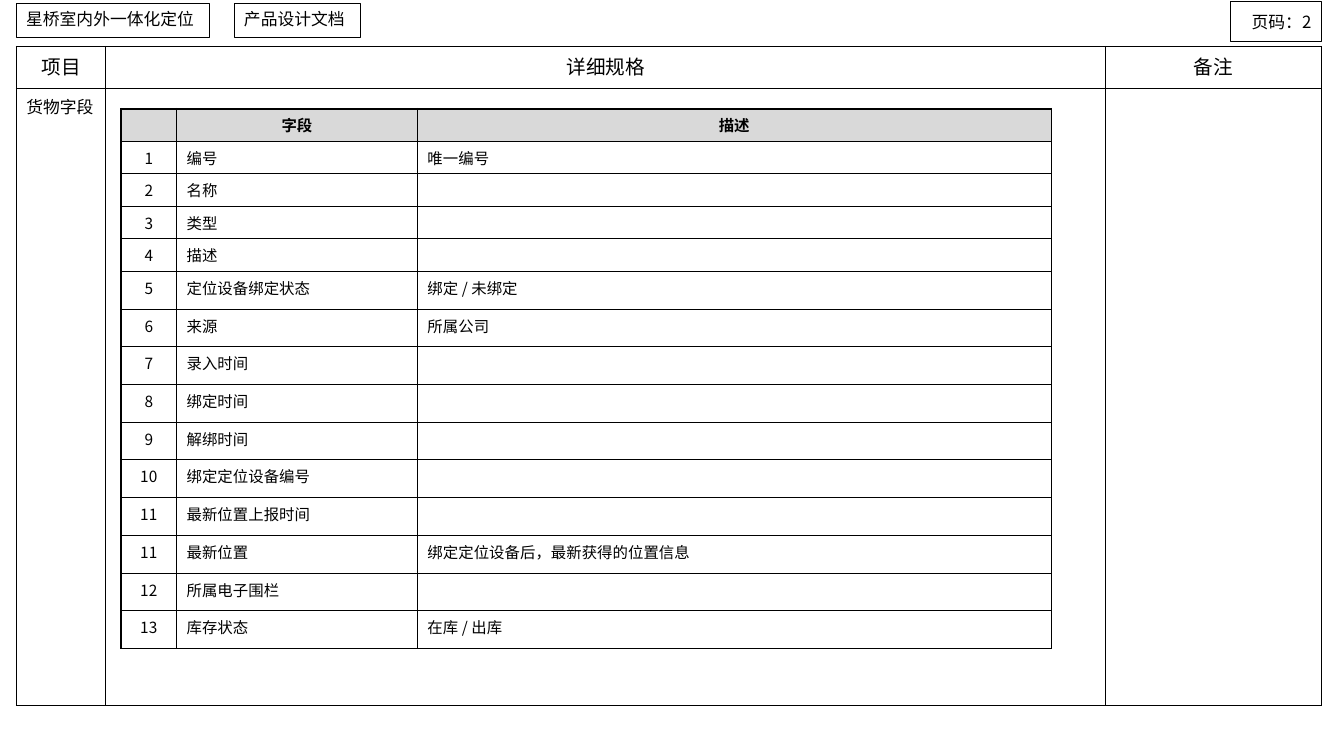
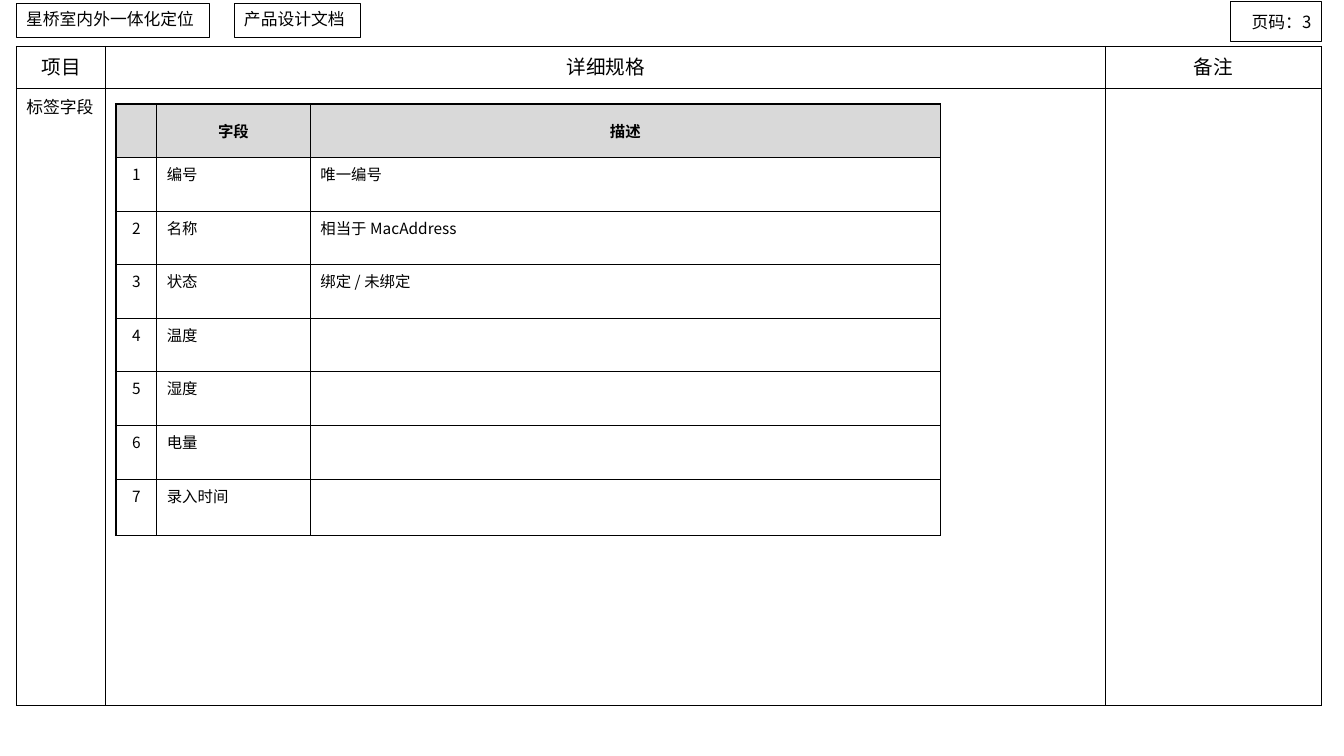
from lxml.etree import SubElement
from pptx import Presentation
from pptx.dml.color import RGBColor
from pptx.enum.shapes import MSO_SHAPE
from pptx.enum.text import MSO_ANCHOR, PP_ALIGN
from pptx.oxml.ns import qn
from pptx.util import Cm, Pt

BLACK = RGBColor(0x00, 0x00, 0x00)
WHITE = RGBColor(0xFF, 0xFF, 0xFF)
HEADER_GREY = RGBColor(0xD9, 0xD9, 0xD9)
FONT = "Noto Sans CJK SC"
THIN, THICK = Pt(0.75), Pt(1.5)

FRAME_LEFT, FRAME_TOP = 0.41, 1.17
FRAME_COLUMNS = [2.26, 25.2, 5.43]
FRAME_ROWS = [1.07, 15.54]
FRAME_HEADINGS = ["项目", "详细规格", "备注"]
FIELD_HEADINGS = ["", "字段", "描述"]

CARGO_FIELDS = [
    FIELD_HEADINGS,
    ["1", "编号", "唯一编号"],
    ["2", "名称", ""],
    ["3", "类型", ""],
    ["4", "描述", ""],
    ["5", "定位设备绑定状态", "绑定 / 未绑定"],
    ["6", "来源", "所属公司"],
    ["7", "录入时间", ""],
    ["8", "绑定时间", ""],
    ["9", "解绑时间", ""],
    ["10", "绑定定位设备编号", ""],
    ["11", "最新位置上报时间", ""],
    ["11", "最新位置", "绑定定位设备后，最新获得的位置信息"],
    ["12", "所属电子围栏", ""],
    ["13", "库存状态", "在库 / 出库"],
]
TAG_FIELDS = [
    FIELD_HEADINGS,
    ["1", "编号", "唯一编号"],
    ["2", "名称", "相当于 MacAddress"],
    ["3", "状态", "绑定 / 未绑定"],
    ["4", "温度", ""],
    ["5", "湿度", ""],
    ["6", "电量", ""],
    ["7", "录入时间", ""],
]


def write_text(frame, text, size=12, bold=False, align=PP_ALIGN.LEFT, anchor=MSO_ANCHOR.TOP):
    """Fill a text frame; an empty text still gets its size, so table rows stay low."""
    frame.word_wrap = True
    frame.vertical_anchor = anchor
    paragraph = frame.paragraphs[0]
    paragraph.alignment = align
    if not text:
        SubElement(paragraph._p, qn("a:endParaRPr"), sz=str(size * 100))
        return
    run = paragraph.add_run()
    run.text = text
    run.font.size = Pt(size)
    run.font.bold = bold
    run.font.name = FONT
    run.font.color.rgb = BLACK
    SubElement(run._r.get_or_add_rPr(), qn("a:ea"), typeface=FONT)


def style_cell(cell, fill, left=THIN, top=THIN):
    properties = cell._tc.get_or_add_tcPr()
    for side, width in (("L", left), ("R", THIN), ("T", top), ("B", THIN)):
        border = SubElement(properties, qn(f"a:ln{side}"), w=str(width))
        solid = SubElement(border, qn("a:solidFill"))
        SubElement(solid, qn("a:srgbClr"), val=str(BLACK))
    cell.fill.solid()
    cell.fill.fore_color.rgb = fill


def add_grid(slide, left, top, columns, rows):
    """Add a plain table with the given column widths and row heights in cm."""
    grid = slide.shapes.add_table(len(rows), len(columns), Cm(left), Cm(top),
                                  Cm(sum(columns)), Cm(sum(rows))).table
    grid.first_row = grid.horz_banding = False
    for column, width in zip(grid.columns, columns):
        column.width = Cm(width)
    for row, height in zip(grid.rows, rows):
        row.height = Cm(height)
    return grid


def add_label(slide, text, left, top, width, height, **text_format):
    label = slide.shapes.add_shape(MSO_SHAPE.RECTANGLE, Cm(left), Cm(top), Cm(width), Cm(height))
    label.shadow.inherit = False
    label.fill.background()
    label.line.color.rgb = BLACK
    label.line.width = THIN
    write_text(label.text_frame, text, **text_format)


def add_page_frame(slide, item):
    grid = add_grid(slide, FRAME_LEFT, FRAME_TOP, FRAME_COLUMNS, FRAME_ROWS)
    for column, heading in enumerate(FRAME_HEADINGS):
        write_text(grid.cell(0, column).text_frame, heading, size=14, align=PP_ALIGN.CENTER)
        write_text(grid.cell(1, column).text_frame, item if column == 0 else "")
    for cell in grid.iter_cells():
        style_cell(cell, WHITE)


def add_page_header(slide, page_number):
    add_label(slide, "星桥室内外一体化定位", FRAME_LEFT, 0.1, 4.88, 0.84)
    add_label(slide, "产品设计文档", 5.9, 0.1, 3.18, 0.84)
    page_width = 2.29
    page_left = FRAME_LEFT + sum(FRAME_COLUMNS) - page_width
    add_label(slide, f"页码：{page_number}", page_left, 0.03, page_width, 1.02,
              align=PP_ALIGN.RIGHT, anchor=MSO_ANCHOR.MIDDLE)


def add_field_table(slide, fields, inset_left, inset_top, columns, rows):
    """Place the field list, measured from the top left of the frame's detail cell."""
    grid = add_grid(slide, FRAME_LEFT + FRAME_COLUMNS[0] + inset_left,
                    FRAME_TOP + FRAME_ROWS[0] + inset_top, columns, rows)
    for r, field in enumerate(fields):
        is_heading = r == 0
        for c, text in enumerate(field):
            cell = grid.cell(r, c)
            centred = is_heading or c == 0
            write_text(cell.text_frame, text, size=11, bold=is_heading,
                       align=PP_ALIGN.CENTER if centred else PP_ALIGN.LEFT)
            cell.vertical_anchor = MSO_ANCHOR.MIDDLE if is_heading else MSO_ANCHOR.TOP
            style_cell(cell, HEADER_GREY if is_heading else WHITE,
                       left=THICK if c == 0 else THIN, top=THICK if is_heading else THIN)


def add_field_slide(deck, page_number, item, fields, **table_layout):
    slide = deck.slides.add_slide(deck.slide_layouts[6])
    add_page_frame(slide, item)
    add_page_header(slide, page_number)
    add_field_table(slide, fields, **table_layout)


def main():
    deck = Presentation()
    deck.slide_width, deck.slide_height = Cm(33.87), Cm(19.05)
    add_field_slide(deck, 2, "货物字段", CARGO_FIELDS, inset_left=0.38, inset_top=0.5,
                    columns=[1.4, 6.07, 15.97], rows=[0.82] * 5 + [0.95] * 10)
    add_field_slide(deck, 3, "标签字段", TAG_FIELDS, inset_left=0.25, inset_top=0.38,
                    columns=[1.03, 3.87, 15.88], rows=[1.35] * 7 + [1.42])
    deck.save("out.pptx")


if __name__ == "__main__":
    main()
